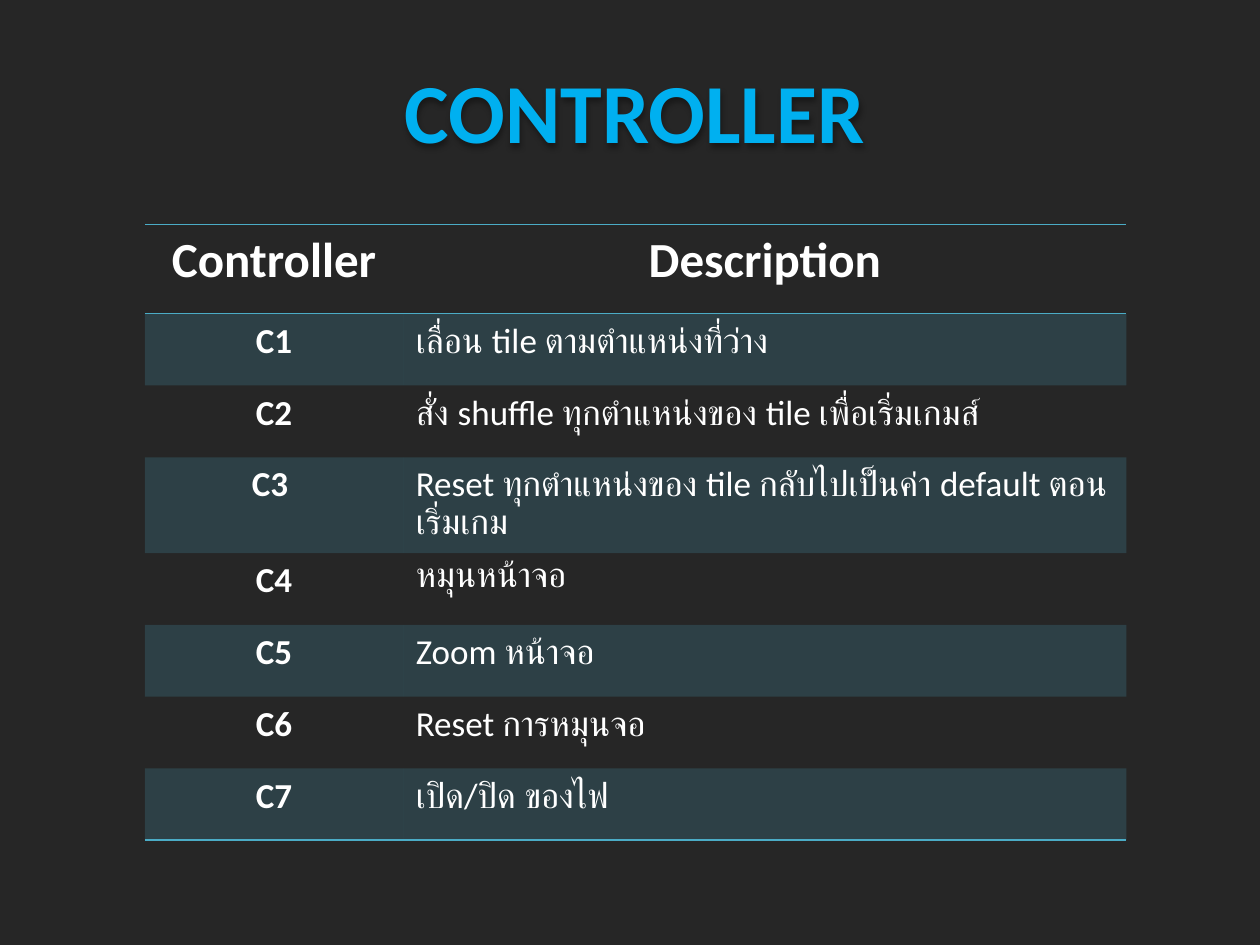
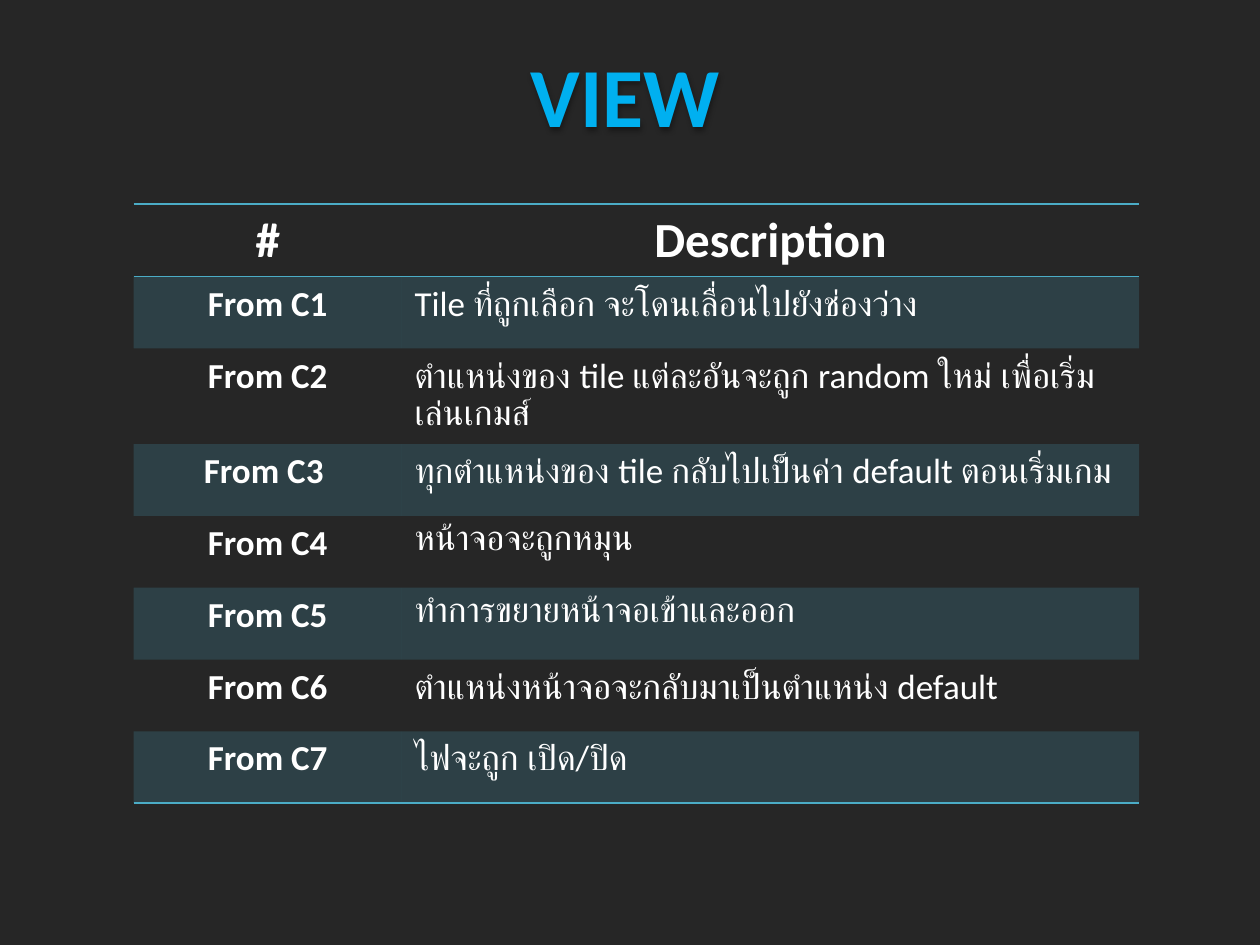
from lxml import etree
from pptx import Presentation
from pptx.dml.color import RGBColor as RGB
from pptx.enum.text import MSO_ANCHOR as ANCHOR, MSO_AUTO_SIZE as AUTO, PP_ALIGN as AL
from pptx.oxml import parse_xml
from pptx.oxml.ns import nsdecls, qn
from pptx.util import Inches, Pt

FONT = "Calibri"
COLORS = {"bg": "262626", "title": "00B0F0", "text": "FFFFFF", "accent": "4BACC6", "shadow": "000000"}
NO_STYLE = "{2D5ABB26-0587-4C30-8999-92F81FD0307C}"
ROW_H, TWO_LINE_H = 0.57, 0.76
ROUND_RECT = (
    f'<a:prstGeom {nsdecls("a")} prst="roundRect"><a:avLst>'
    '<a:gd name="adj" fmla="val 7100"/></a:avLst></a:prstGeom>'
)
SHADOW = (
    f'<a:effectLst {nsdecls("a")}><a:outerShdw blurRad="40000" dist="23000" dir="5400000">'
    f'<a:srgbClr val="{COLORS["shadow"]}"><a:alpha val="35000"/></a:srgbClr></a:outerShdw></a:effectLst>'
)

SLIDES = [
    {
        "title": "CONTROLLER",
        "title_box": (2.48, 0.29, 5.12, 1.1),
        "table_pos": (1.15, 1.78),
        "cols": (2.05, 5.74),
        "header_h": 0.71,
        "two_line_row": 3,
        "rows": [
            ("Controller", "Description"),
            ("C1", "เลื่อน tile ตามตำแหน่งที่ว่าง"),
            ("C2", "สั่ง shuffle ทุกตำแหน่งของ tile เพื่อเริ่มเกมส์"),
            ("C3 ", "Reset ทุกตำแหน่งของ tile กลับไปเป็นค่า default ตอนเริ่มเกม"),
            ("C4", "หมุนหน้าจอ"),
            ("C5", "Zoom หน้าจอ"),
            ("C6", "Reset การหมุนจอ"),
            ("C7", "เปิด/ปิด ของไฟ"),
        ],
    },
    {
        "title": "VIEW",
        "title_box": (2.8, 0.16, 4.33, 1.1),
        "table_pos": (1.06, 1.62),
        "cols": (2.13, 5.85),
        "header_h": ROW_H,
        "two_line_row": 2,
        "rows": [
            ("#", "Description"),
            ("From C1", "Tile ที่ถูกเลือก จะโดนเลื่อนไปยังช่องว่าง"),
            ("From C2", "ตำแหน่งของ tile แต่ละอันจะถูก random ใหม่ เพื่อเริ่มเล่นเกมส์"),
            ("From C3 ", "ทุกตำแหน่งของ tile กลับไปเป็นค่า default ตอนเริ่มเกม"),
            ("From C4", "หน้าจอจะถูกหมุน"),
            ("From C5", "ทำการขยายหน้าจอเข้าและออก"),
            ("From C6", "ตำแหน่งหน้าจอจะกลับมาเป็นตำแหน่ง default"),
            ("From C7", "ไฟจะถูก เปิด/ปิด"),
        ],
    },
]


def add_text(tf, text, size=20, color="text", bold=True, align=AL.CENTER):
    p = tf.paragraphs[0]
    p.alignment = align
    r = p.add_run()
    r.text = text
    r.font.size, r.font.bold, r.font.name = Pt(size), bold, FONT
    r.font.color.rgb = RGB.from_string(COLORS[color])


def add_border(cell, side):
    """Draw a 1 pt accent line on side "T" or "B"; call "B" before "T"."""
    cell._tc.get_or_add_tcPr().insert(0, parse_xml(
        f'<a:ln{side} {nsdecls("a")} w="12700"><a:solidFill>'
        f'<a:srgbClr val="{COLORS["accent"]}"/></a:solidFill></a:ln{side}>'))


prs = Presentation()
prs.slide_width, prs.slide_height = Inches(10), Inches(7.5)
bg = prs.slide_master.background.fill
bg.solid()
bg.fore_color.rgb = RGB.from_string(COLORS["bg"])

for data in SLIDES:
    slide = prs.slides.add_slide(prs.slide_layouts[5])

    title = slide.shapes.title
    title.left, title.top, title.width, title.height = map(Inches, data["title_box"])
    sp_pr = title._element.spPr
    sp_pr.append(parse_xml(ROUND_RECT))
    title.fill.background()
    title.line.fill.background()
    sp_pr.append(parse_xml(SHADOW))
    tf = title.text_frame
    tf.word_wrap, tf.auto_size, tf.vertical_anchor = True, AUTO.NONE, ANCHOR.MIDDLE
    tf.margin_left = tf.margin_right = tf.margin_bottom = 0
    tf.margin_top = Inches(0.07)
    add_text(tf, data["title"], size=48, color="title")

    rows, cols = data["rows"], data["cols"]
    heights = [data["header_h"]] + [ROW_H] * (len(rows) - 1)
    heights[data["two_line_row"]] = TWO_LINE_H
    x, y = data["table_pos"]
    frame = slide.shapes.add_table(len(rows), len(cols), Inches(x), Inches(y),
                                   Inches(sum(cols)), Inches(sum(heights)))
    table = frame.table
    table._tbl.tblPr.find(qn("a:tableStyleId")).text = NO_STYLE
    for col, width in zip(table.columns, cols):
        col.width = Inches(width)

    for i, texts in enumerate(rows):
        table.rows[i].height = Inches(heights[i])
        for j, text in enumerate(texts):
            cell = table.cell(i, j)
            header, label = i == 0, j == 0
            add_text(cell.text_frame, text, size=28 if header else 20, bold=header or label,
                     align=AL.CENTER if header or label else AL.LEFT)
            if i % 2:
                cell.fill.solid()
                cell.fill.fore_color.rgb = RGB.from_string(COLORS["accent"])
                clr = cell._tc.tcPr.find(qn("a:solidFill"))[0]
                etree.SubElement(clr, qn("a:alpha")).set("val", "20000")
            else:
                cell.fill.background()
            if header or i == len(rows) - 1:
                add_border(cell, "B")
            if header:
                add_border(cell, "T")

prs.save("out.pptx")
